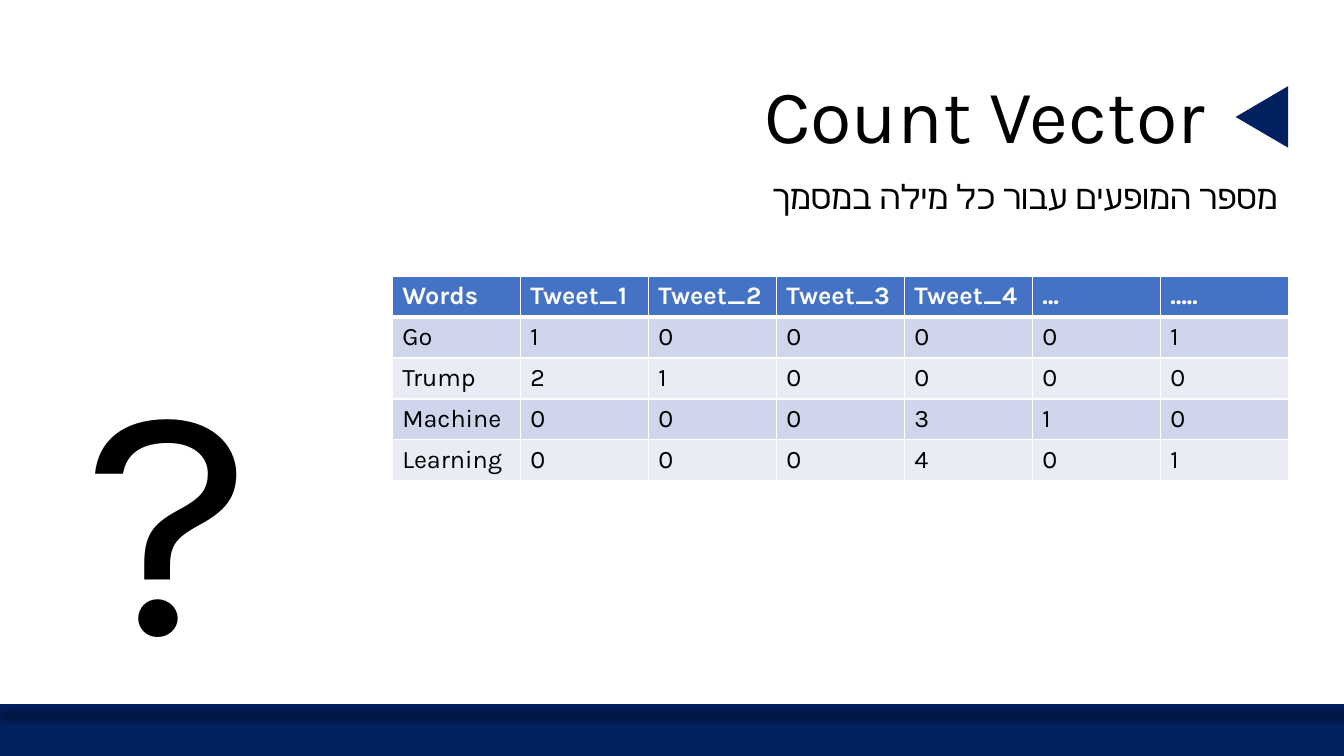
import pptx
import pptx.util
import pptx.dml.color
import pptx.enum.shapes
import pptx.enum.text
import pptx.oxml
import pptx.oxml.ns

Inches, Pt = pptx.util.Inches, pptx.util.Pt
RGBColor = pptx.dml.color.RGBColor
Kind = pptx.enum.shapes.MSO_SHAPE
NAVY = RGBColor(0x00, 0x20, 0x60)
BLUE = RGBColor(0x44, 0x72, 0xC4)
DARK = RGBColor(0xCF, 0xD5, 0xEA)
PALE = RGBColor(0xE9, 0xEB, 0xF5)
WHITE = RGBColor(0xFF, 0xFF, 0xFF)
BLACK = RGBColor(0x00, 0x00, 0x00)
SPACE = pptx.oxml.ns.nsdecls("a")
WORDS = [
    ["Words", "Tweet_1", "Tweet_2", "Tweet_3", "Tweet_4", "…", "….."],
    ["Go", "1", "0", "0", "0", "0", "1"],
    ["Trump", "2", "1", "0", "0", "0", "0"],
    ["Machine", "0", "0", "0", "3", "1", "0"],
    ["Learning", "0", "0", "0", "4", "0", "1"],
]


class Deck:
    """Hold the font and the current slide, and draw each kind of element."""

    def __init__(self, font):
        self.font = font
        self.file = pptx.Presentation()
        self.file.slide_width = Inches(13.33)
        self.file.slide_height = Inches(7.5)
        self.slide = self.file.slides.add_slide(self.file.slide_layouts[5])
        self.shapes = self.slide.shapes

    def label(self, frame, text, size, color=BLACK, bold=False):
        para = frame.paragraphs[0]
        para.text = text
        font = para.font
        font.name, font.size, font.bold = self.font, Pt(size), bold
        font.color.rgb = color
        return para

    def flip(self, para):
        para.alignment = pptx.enum.text.PP_ALIGN.RIGHT
        para.line_spacing = 0.9
        props = para._p.get_or_add_pPr()
        props.set("rtl", "1")
        props.find(pptx.oxml.ns.qn("a:defRPr")).append(
            pptx.oxml.parse_xml(f'<a:cs {SPACE} typeface="{self.font}"/>'))

    def title(self, text, size, *box):
        head = self.shapes.title
        head.left, head.top, head.width, head.height = map(Inches, box)
        frame = head.text_frame
        frame.word_wrap = True
        frame.auto_size = pptx.enum.text.MSO_AUTO_SIZE.NONE
        frame.vertical_anchor = pptx.enum.text.MSO_ANCHOR.BOTTOM
        self.flip(self.label(frame, text, size))

    def text(self, text, size, *box):
        frame = self.shapes.add_textbox(*map(Inches, box)).text_frame
        frame.word_wrap = True
        return self.label(frame, text, size)

    def shape(self, kind, color, *box, turn=0):
        shape = self.shapes.add_shape(kind, *map(Inches, box))
        shape.shadow.inherit = False
        shape.fill.solid()
        shape.fill.fore_color.rgb = color
        shape.line.fill.background()
        shape.rotation = turn

    def rule(self, color, width, *ends):
        line = self.shapes.add_connector(
            pptx.enum.shapes.MSO_CONNECTOR.STRAIGHT, *map(Inches, ends))
        line.line.color.rgb = color
        line.line.width = Pt(width)
        line._element.spPr.append(pptx.oxml.parse_xml(
            f'<a:effectLst {SPACE}><a:outerShdw blurRad="63500" sx="102000" '
            'sy="102000" algn="ctr" rotWithShape="0"><a:srgbClr val="000000">'
            '<a:alpha val="40000"/></a:srgbClr></a:outerShdw></a:effectLst>'))

    def edge(self, cell, **widths):
        props = cell._tc.get_or_add_tcPr()
        for place, (side, width) in enumerate(widths.items()):
            props.insert(place, pptx.oxml.parse_xml(
                f'<a:ln{side} {SPACE} w="{Pt(width)}"><a:solidFill>'
                f'<a:srgbClr val="{WHITE}"/></a:solidFill></a:ln{side}>'))

    def table(self, rows, size, *box):
        grid = self.shapes.add_table(
            len(rows), len(rows[0]), *map(Inches, box)).table
        for r, row in enumerate(rows):
            head = r == 0
            for c, text in enumerate(row):
                cell = grid.cell(r, c)
                cell.fill.solid()
                cell.fill.fore_color.rgb = (
                    BLUE if head else DARK if r % 2 else PALE)
                self.label(cell.text_frame, text, size,
                           WHITE if head else BLACK, head)
                self.edge(cell, L=1, R=1, T=3 if r == 1 else 1,
                          B=3 if head else 1)


def main():
    deck = Deck("Karla")
    deck.shape(Kind.RECTANGLE, NAVY, 0, 6.95, 13.33, 0.55)
    deck.rule(WHITE, 4.75, 0, 6.95, 13.33, 6.95)
    deck.title("Count Vector", 54, 6.01, 0.69, 6.04, 0.95)
    note = deck.text("מספר המופעים עבור כל מילה במסמך", 24,
                     0.42, 1.74, 12.35, 4.74)
    note.space_before = Pt(10)
    deck.flip(note)
    deck.shape(Kind.ISOSCELES_TRIANGLE, NAVY, 12.21, 0.9, 0.61, 0.52, turn=270)
    deck.table(WORDS, 18, 3.89, 2.74, 8.89, 2.03)
    deck.text("?", 239, 0.75, 2.92, 1.41, 4.12)
    deck.file.save("out.pptx")


if __name__ == "__main__":
    main()
